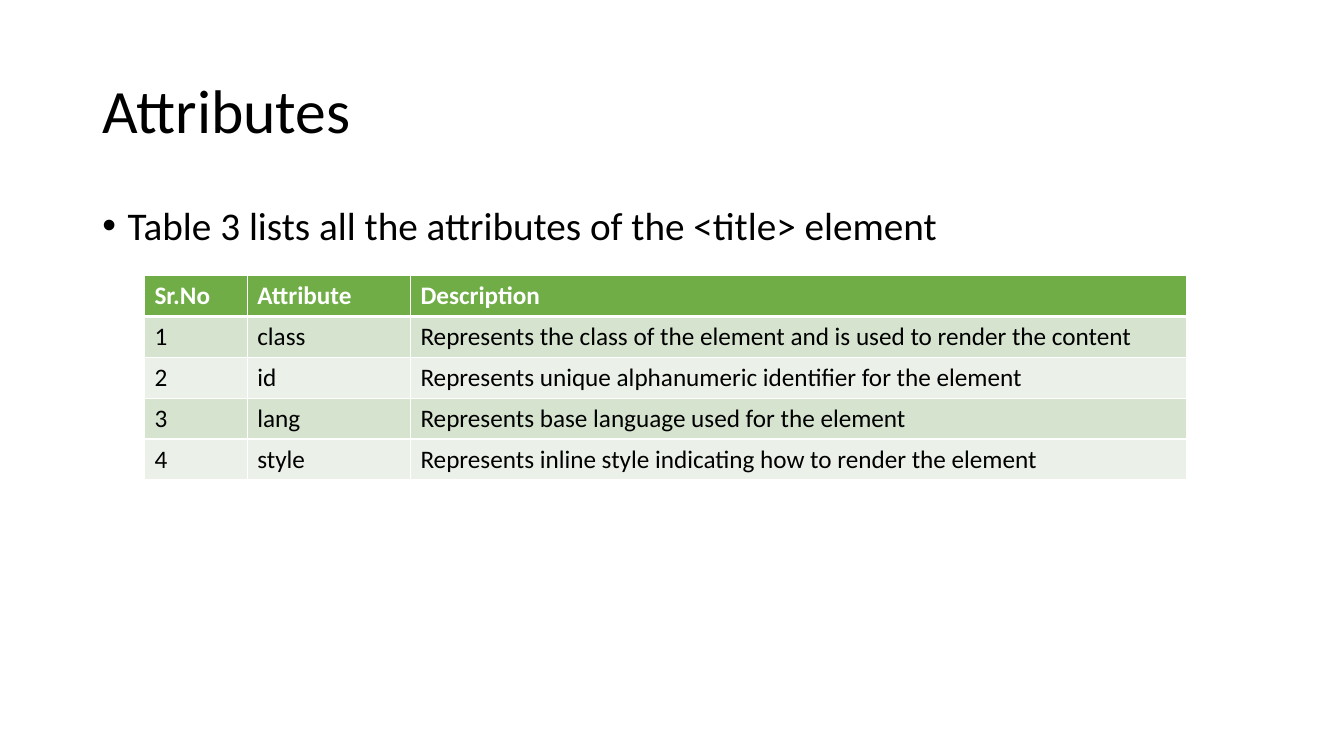
from lxml import etree
from pptx import Presentation
from pptx.dml.color import RGBColor
from pptx.enum import text
from pptx.oxml import ns
from pptx.util import Pt

BLACK = RGBColor(0, 0, 0)
WHITE = RGBColor(255, 255, 255)
GREEN = RGBColor(0x70, 0xAD, 0x47)
BANDS = [RGBColor(0xEB, 0xF1, 0xE9), RGBColor(0xD5, 0xE3, 0xCF)]

ROWS = [
    ("Sr.No", "Attribute", "Description"),
    ("1", "class", "Represents the class of the element and is used to render the content"),
    ("2", "id", "Represents unique alphanumeric identifier for the element"),
    ("3", "lang", "Represents base language used for the element"),
    ("4", "style", "Represents inline style indicating how to render the element"),
]


class Deck:
    face = "Calibri"

    def __init__(self, show):
        self.slide = show.slides.add_slide(show.slide_layouts[1])

    def font(self, para, size, color=BLACK, bold=False):
        for run in para.runs:
            font = run.font
            font.name, font.size, font.bold = self.face, Pt(size), bold
            font.color.rgb = color

    def holder(self, index, words, box, size, anchor):
        shape = self.slide.placeholders[index]
        shape.left, shape.top, shape.width, shape.height = map(Pt, box)
        frame = shape.text_frame
        frame.text = words
        frame.auto_size = text.MSO_AUTO_SIZE.NONE
        frame.vertical_anchor = anchor
        para = frame.paragraphs[0]
        para.alignment = text.PP_ALIGN.LEFT
        para.line_spacing = 0.9
        para.space_before = Pt(0)
        self.font(para, size)
        return para

    def title(self, words, box):
        self.holder(0, words, box, 44, text.MSO_ANCHOR.MIDDLE)

    def bullet(self, words, box):
        para = self.holder(1, words, box, 28, text.MSO_ANCHOR.TOP)
        props = para._p.get_or_add_pPr()
        props.set("marL", str(Pt(18)))
        props.set("indent", str(-Pt(18)))
        face = etree.SubElement(props, ns.qn("a:buFont"))
        face.set("typeface", "Arial")
        etree.SubElement(props, ns.qn("a:buChar")).set("char", "•")

    def border(self, cell, side, width):
        line = etree.SubElement(cell._tc.get_or_add_tcPr(), ns.qn("a:ln" + side))
        line.set("w", str(Pt(width)))
        fill = etree.SubElement(line, ns.qn("a:solidFill"))
        etree.SubElement(fill, ns.qn("a:srgbClr")).set("val", str(WHITE))

    def table(self, rows, left, top, widths, height):
        frame = self.slide.shapes.add_table(
            len(rows), len(widths), Pt(left), Pt(top),
            Pt(sum(widths)), Pt(height * len(rows)))
        grid = frame.table
        for col, width in zip(grid.columns, widths):
            col.width = Pt(width)
        for r, row in enumerate(rows):
            grid.rows[r].height = Pt(height)
            head = r == 0
            for c, words in enumerate(row):
                cell = grid.cell(r, c)
                cell.text = words
                # A thick rule parts the header from the body
                rules = {"L": 1, "R": 1, "T": 3 if r == 1 else 1, "B": 3 if head else 1}
                for side, width in rules.items():
                    self.border(cell, side, width)
                cell.fill.solid()
                cell.fill.fore_color.rgb = GREEN if head else BANDS[r % 2]
                self.font(cell.text_frame.paragraphs[0], 18,
                          WHITE if head else BLACK, head)


def main():
    show = Presentation()
    show.slide_width, show.slide_height = Pt(960), Pt(540)
    deck = Deck(show)

    # Heading and lead-in
    deck.title("Attributes", (66, 28.75, 828, 104.4))
    deck.bullet("Table 3 lists all the attributes of the <title> element",
                (66, 143.75, 828, 342.6))

    # Attribute table
    deck.table(ROWS, 103.2, 196.8, (73.4, 116.6, 554.4), 29.2)
    show.save("out.pptx")


if __name__ == "__main__":
    main()
